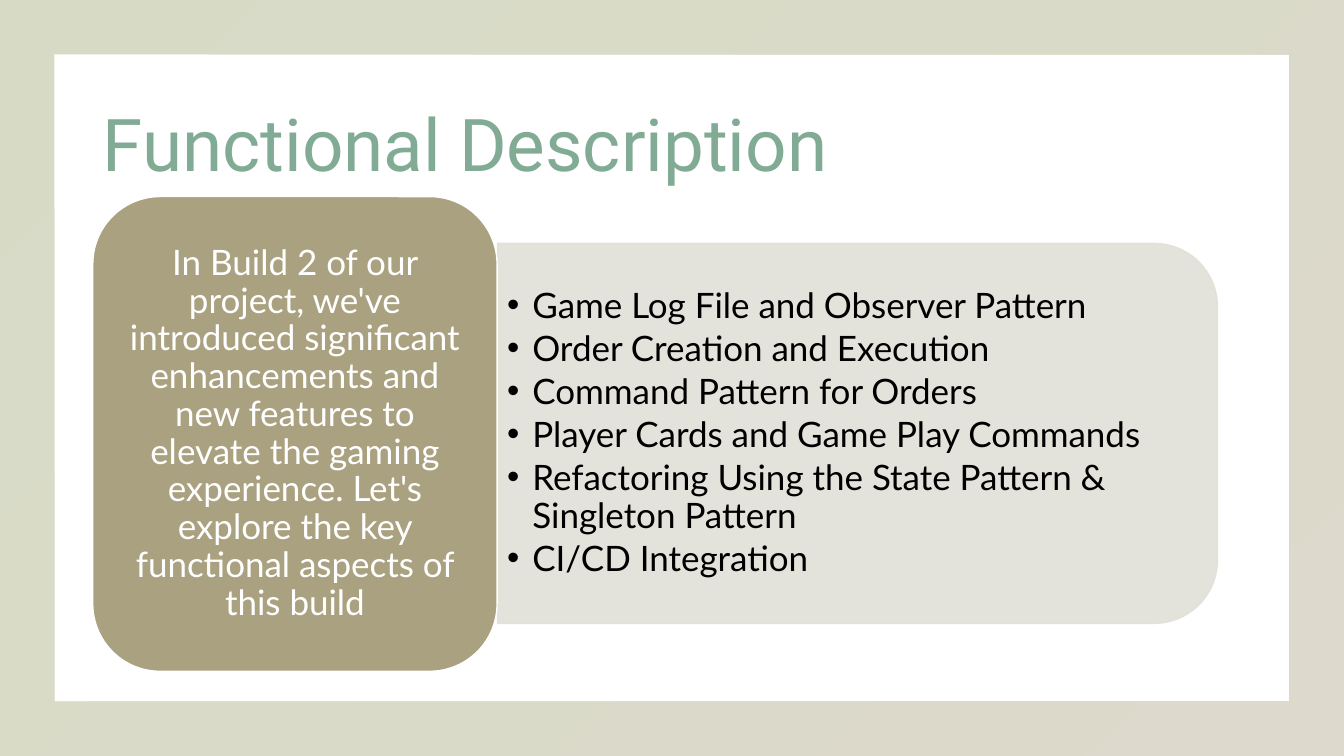
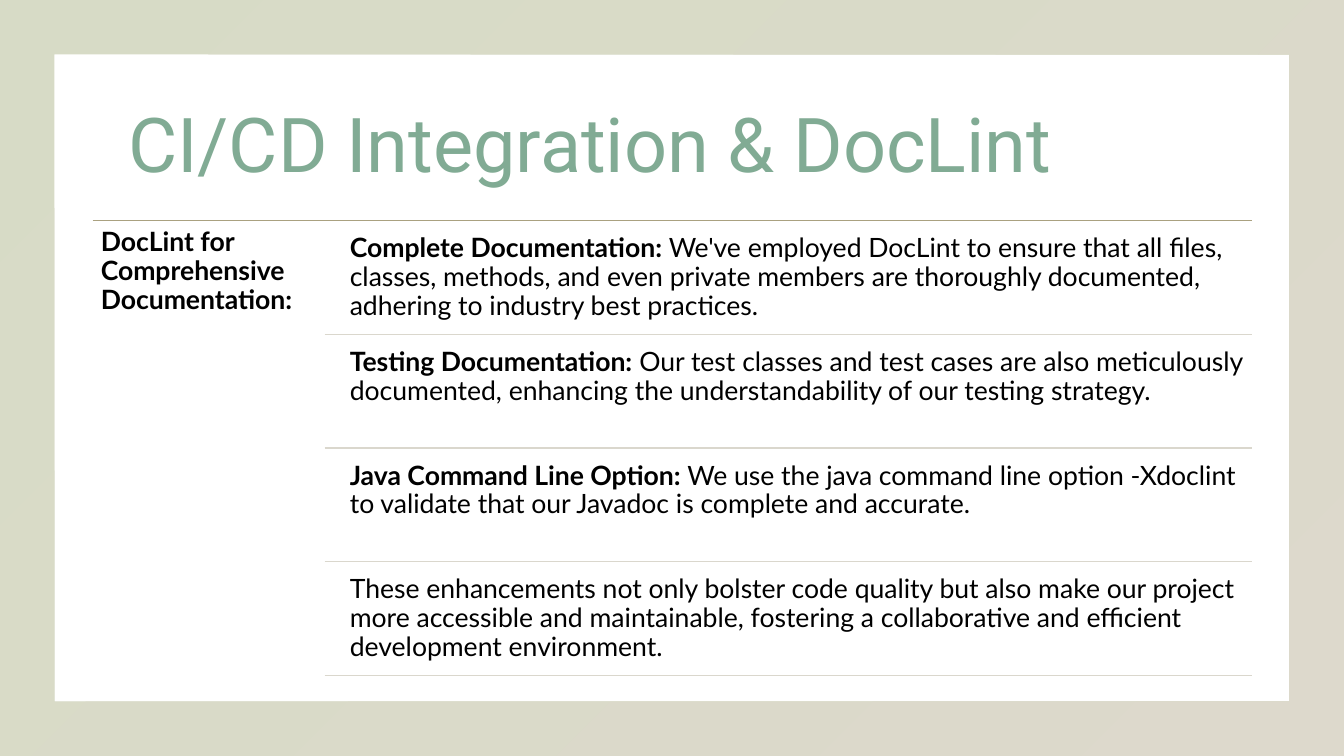
"""Build two project slides: a functional description and a DocLint overview."""
from lxml.etree import SubElement
from pptx import Presentation
from pptx.dml.color import RGBColor
from pptx.enum.shapes import MSO_CONNECTOR, MSO_SHAPE as Preset
from pptx.enum.text import MSO_ANCHOR as Anchor, MSO_AUTO_SIZE as AutoSize, PP_ALIGN as Align
from pptx.oxml.ns import qn
from pptx.util import Inches, Pt

GREEN, TAN, OLIVE = "81AB94", "AAA180", "9CA671"
PANEL, RULE, BLACK, WHITE = "E2E0D8", "DAD7CD", "000000", "FFFFFF"


def color(hex_value):
    return RGBColor.from_string(hex_value)


def write(paragraph, runs, size, hex_value, font="Lato", align=Align.LEFT):
    paragraph.alignment = align
    paragraph.line_spacing = 0.9
    paragraph.space_before = Pt(0)
    for text, bold in runs:
        run = paragraph.add_run()
        run.text = text
        run.font.name = font
        run.font.size = Pt(size)
        run.font.bold = bold
        run.font.color.rgb = color(hex_value)


presentation = Presentation()
presentation.slide_width = Inches(13.33)
presentation.slide_height = Inches(7.5)
master = presentation.slide_master
master_title = master.placeholders[0]
master_title.left, master_title.top = Inches(0.92), Inches(0.74)
master_title.width, master_title.height = Inches(11.5), Inches(1.45)

overview = presentation.slides.add_slide(presentation.slide_layouts[1])
doclint = presentation.slides.add_slide(presentation.slide_layouts[5])

titles = [
    (overview, "Functional Description", 52, 0.1),
    (doclint, "CI/CD Integration & DocLint", 54, 0.35),
]
for slide, text, size, margin in titles:
    title_frame = slide.shapes.title.text_frame
    title_frame.auto_size = AutoSize.NONE
    title_frame.vertical_anchor = Anchor.MIDDLE
    title_frame.margin_left = Inches(margin)
    write(title_frame.paragraphs[0], [(text, False)], size, GREEN, "Roboto")

border = overview.shapes.add_shape(
    Preset.FRAME, 0, 0, presentation.slide_width, presentation.slide_height)
border.adjustments[0] = 0.072
border.shadow.inherit = False
border.line.fill.background()
border.fill.gradient()
border.fill.gradient_angle = 315
for stop, hex_value in zip(border.fill.gradient_stops, (OLIVE, TAN)):
    stop.color.rgb = color(hex_value)
master.element.cSld.spTree.insert(2, border.element)

panel = overview.shapes.add_shape(
    Preset.ROUND_2_SAME_RECTANGLE, Inches(6.62), Inches(0.73), Inches(3.77), Inches(7.14))
panel.rotation = 90
card = overview.shapes.add_shape(
    Preset.ROUNDED_RECTANGLE, Inches(0.92), Inches(1.95), Inches(4.01), Inches(4.71))
for shape, fill, line in ((panel, PANEL, PANEL), (card, TAN, WHITE)):
    shape.shadow.inherit = False
    shape.fill.solid()
    shape.fill.fore_color.rgb = color(fill)
    shape.line.color.rgb = color(line)
    shape.line.width = Pt(1)

for shape, opacity in ((border, 40000), (panel, 90000)):
    for element in shape.element.iter(qn("a:srgbClr")):
        SubElement(element, qn("a:alpha")).set("val", str(opacity))

card_frame = card.text_frame
card_frame.word_wrap = True
card_frame.vertical_anchor = Anchor.MIDDLE
introduction = (
    "In Build 2 of our project, we've introduced significant enhancements and new features "
    "to elevate the gaming experience. Let's explore the key functional aspects of this build")
write(card_frame.paragraphs[0], [(introduction, False)], 25, WHITE, align=Align.CENTER)

features = [
    "Game Log File and Observer Pattern",
    "Order Creation and Execution",
    "Command Pattern for Orders",
    "Player Cards and Game Play Commands",
    "Refactoring Using the State Pattern & Singleton Pattern",
    "CI/CD Integration",
]
body = overview.placeholders[1]
body.left, body.top = Inches(4.93), Inches(2.6)
body.width, body.height = Inches(6.95), Inches(3.4)
panel.element.addnext(body.element)
body_frame = body.text_frame
body_frame.auto_size = AutoSize.NONE
body_frame.vertical_anchor = Anchor.MIDDLE
for index, feature in enumerate(features):
    paragraph = body_frame.add_paragraph() if index else body_frame.paragraphs[0]
    write(paragraph, [(feature, False)], 25, BLACK)
    paragraph.space_after = Pt(3.75)
for properties in body.element.iter(qn("a:pPr")):
    properties.set("marL", str(Inches(0.25)))
    properties.set("indent", str(Inches(-0.25)))

left, middle, right = 0.92, 3.22, 12.42
top, bottom = 2.19, 6.7
practices = [
    [("Complete Documentation:", True),
     (" We've employed DocLint to ensure that all files, classes, methods, and even private "
      "members are thoroughly documented, adhering to industry best practices.", False)],
    [("Testing Documentation:", True),
     (" Our test classes and test cases are also meticulously documented, enhancing the "
      "understandability of our testing strategy.", False)],
    [("Java Command Line Option:", True),
     (" We use the java command line option -Xdoclint to validate that our Javadoc is "
      "complete and accurate.", False)],
    [("These enhancements not only bolster code quality but also make our project more "
      "accessible and maintainable, fostering a collaborative and efficient development "
      "environment.", False)],
]
pitch = (bottom - top) / len(practices)
rules = [(left, top, TAN)]
blocks = [(left, top, middle - left, bottom - top,
           [("DocLint for Comprehensive Documentation:", True)])]
for index, runs in enumerate(practices):
    row_top = top + index * pitch
    rules.append((middle, row_top + pitch, RULE))
    blocks.append((3.39, row_top + 0.06, 9.03, 1.07, runs))

for start, height, hex_value in rules:
    rule = doclint.shapes.add_connector(
        MSO_CONNECTOR.STRAIGHT, Inches(start), Inches(height), Inches(right), Inches(height))
    rule.line.color.rgb = color(hex_value)
    rule.line.width = Pt(1)
    SubElement(rule.element.spPr, qn("a:effectLst"))

for x, y, width, height, runs in blocks:
    box = doclint.shapes.add_textbox(Inches(x), Inches(y), Inches(width), Inches(height))
    box_frame = box.text_frame
    box_frame.word_wrap = True
    box_frame.margin_left = box_frame.margin_right = Inches(0.08)
    box_frame.margin_top = box_frame.margin_bottom = Inches(0.08)
    write(box_frame.paragraphs[0], runs, 19, BLACK)

presentation.save("out.pptx")
